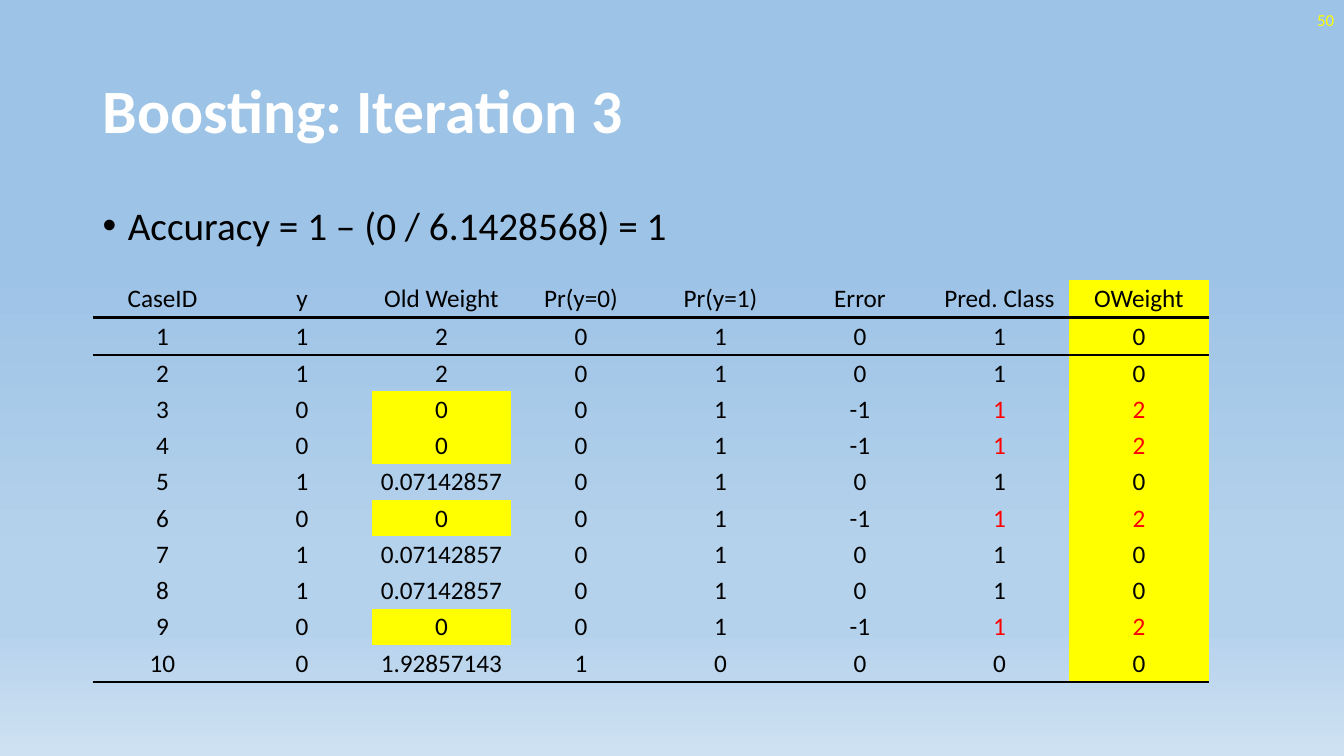
from lxml import etree
from pptx import Presentation
from pptx.dml.color import RGBColor
from pptx.enum.text import MSO_ANCHOR, PP_ALIGN
from pptx.oxml.ns import qn
from pptx.util import Inches, Pt

MIDDLE = MSO_ANCHOR.MIDDLE
CENTER, RIGHT = PP_ALIGN.CENTER, PP_ALIGN.RIGHT
FONT = "Calibri"
NO_GRID_STYLE = "{2D5ABB26-0587-4C30-8999-92F81FD0307C}"
COLORS = {
    "text": "000000",
    "title": "FFFFFF",
    "highlight": "FFFF00",
    "wrong": "FF0000",
    "sky": "9DC3E6",
    "haze": "B5D2EC",
    "horizon": "CEE1F2",
}
BACKGROUND_STOPS = [(35, "sky"), (74, "haze"), (83, "haze"), (100, "horizon")]

HEADERS = ["CaseID", "y", "Old Weight", "Pr(y=0)", "Pr(y=1)", "Error",
           "Pred. Class", "OWeight"]
CASES = [
    ["1", "1", "2", "0", "1", "0", "1", "0"],
    ["2", "1", "2", "0", "1", "0", "1", "0"],
    ["3", "0", "0", "0", "1", "-1", "1", "2"],
    ["4", "0", "0", "0", "1", "-1", "1", "2"],
    ["5", "1", "0.07142857", "0", "1", "0", "1", "0"],
    ["6", "0", "0", "0", "1", "-1", "1", "2"],
    ["7", "1", "0.07142857", "0", "1", "0", "1", "0"],
    ["8", "1", "0.07142857", "0", "1", "0", "1", "0"],
    ["9", "0", "0", "0", "1", "-1", "1", "2"],
    ["10", "0", "1.92857143", "1", "0", "0", "0", "0"],
]
OLD_WEIGHT, ERROR, PREDICTED, NEW_WEIGHT = (
    HEADERS.index(name)
    for name in ("Old Weight", "Error", "Pred. Class", "OWeight"))


def rgb(name):
    return RGBColor.from_string(COLORS[name])


def format_paragraph(paragraph, size, color, alignment=None, bold=False):
    paragraph.alignment = alignment
    font = paragraph.font
    font.name, font.size, font.bold = FONT, Pt(size), bold
    font.color.rgb = rgb(color)


def paint_background(slide):
    fill = slide.background.fill
    fill.gradient()
    fill.gradient_angle = 270
    stops = next(slide.element.iter(qn("a:gsLst")))
    for stop in list(stops):
        stops.remove(stop)
    for percent, color in BACKGROUND_STOPS:
        stop = etree.SubElement(stops, qn("a:gs"), pos=str(percent * 1000))
        etree.SubElement(stop, qn("a:srgbClr"), val=COLORS[color])


def place_title(slide, left, top, width, height, text):
    title = slide.shapes.title
    title.left, title.top, title.width, title.height = left, top, width, height
    frame = title.text_frame
    frame.text, frame.vertical_anchor = text, MIDDLE
    paragraph = frame.paragraphs[0]
    paragraph.line_spacing = 0.9
    format_paragraph(paragraph, 44, "title", PP_ALIGN.LEFT, bold=True)


def add_text(slide, left, top, width, height, text):
    frame = slide.shapes.add_textbox(left, top, width, height).text_frame
    frame.word_wrap = True
    frame.text = text
    return frame


def add_bullet(slide, left, top, width, height, text):
    paragraph = add_text(slide, left, top, width, height, text).paragraphs[0]
    paragraph.line_spacing = 0.9
    properties = paragraph._p.get_or_add_pPr()
    properties.set("marL", str(Inches(0.25)))
    properties.set("indent", str(Inches(-0.25)))
    etree.SubElement(properties, qn("a:buFont"), typeface="Arial")
    etree.SubElement(properties, qn("a:buChar"), char="•")
    format_paragraph(paragraph, 28, "text")


def add_page_number(slide, left, top, width, height, number):
    frame = add_text(slide, left, top, width, height, number)
    frame.vertical_anchor = MIDDLE
    format_paragraph(frame.paragraphs[0], 12, "highlight", RIGHT)


def add_border(cell, side):
    """Rule one side of a cell; side is a:lnT or a:lnB."""
    properties = cell._tc.get_or_add_tcPr()
    line = etree.Element(qn(side), w=str(Pt(2)))
    fill = etree.SubElement(line, qn("a:solidFill"))
    etree.SubElement(fill, qn("a:srgbClr"), val=COLORS["text"])
    properties.insert(0, line)


def fill_cell(cell, text, color, highlighted):
    cell.margin_left = cell.margin_right = cell.margin_top = Inches(0.01)
    cell.margin_bottom = 0
    cell.vertical_anchor = MIDDLE
    cell.text = text
    format_paragraph(cell.text_frame.paragraphs[0], 18, color, CENTER)
    if highlighted:
        cell.fill.solid()
        cell.fill.fore_color.rgb = rgb("highlight")
    else:
        cell.fill.background()


def add_case_table(slide, left, top, width, height):
    rows = [HEADERS] + CASES
    last = len(rows) - 1
    frame = slide.shapes.add_table(
        len(rows), len(HEADERS), left, top, width, height)
    table = frame.table
    table.first_row = table.horz_banding = False
    next(table._tbl.iter(qn("a:tableStyleId"))).text = NO_GRID_STYLE
    for row_index, values in enumerate(rows):
        edge_row = row_index in (0, 1, last)
        table.rows[row_index].height = Inches(0.37 if edge_row else 0.36)
        misclassified = values[ERROR] == "-1"
        for column, text in enumerate(values):
            cell = table.cell(row_index, column)
            wrong = misclassified and column in (PREDICTED, NEW_WEIGHT)
            highlighted = column == NEW_WEIGHT or (
                column == OLD_WEIGHT and text == "0")
            fill_cell(cell, text, "wrong" if wrong else "text", highlighted)
            if row_index in (0, last):
                add_border(cell, "a:lnB")
            elif row_index == 1:
                add_border(cell, "a:lnT")


def build_iteration_slide(presentation):
    slide = presentation.slides.add_slide(presentation.slide_layouts[5])
    left, width = Inches(0.92), Inches(11.5)
    paint_background(slide)
    place_title(slide, left, Inches(0.4), width, Inches(1.45),
                "Boosting: Iteration 3")
    add_bullet(slide, left, Inches(2), width, Inches(0.6),
               "Accuracy = 1 – (0 / 6.1428568) = 1")
    add_page_number(slide, Inches(10.33), 0, Inches(3), Inches(0.4), "50")
    add_case_table(slide, left, Inches(2.78), Inches(11.07), Inches(3.98))


def main():
    presentation = Presentation()
    presentation.slide_width = Inches(13.33)
    presentation.slide_height = Inches(7.5)
    build_iteration_slide(presentation)
    presentation.save("out.pptx")


if __name__ == "__main__":
    main()
